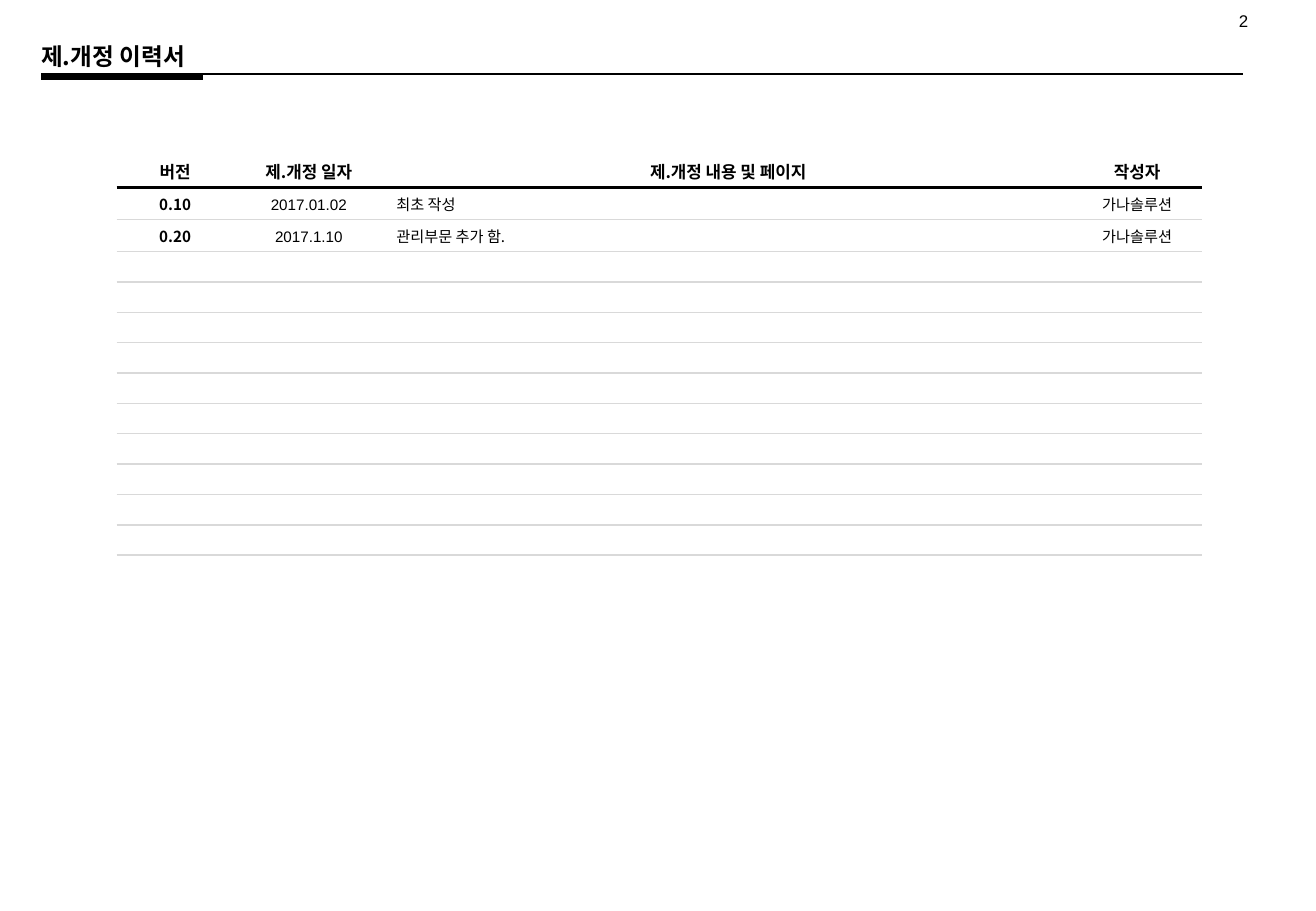
import pptx
import pptx.dml.color
import pptx.enum.shapes
import pptx.enum.text
import pptx.oxml
import pptx.oxml.ns
import pptx.util

Cm = pptx.util.Cm
Pt = pptx.util.Pt
RGBColor = pptx.dml.color.RGBColor
PP_ALIGN = pptx.enum.text.PP_ALIGN
MSO_ANCHOR = pptx.enum.text.MSO_ANCHOR
qn = pptx.oxml.ns.qn

BLACK = RGBColor(0x00, 0x00, 0x00)
GRAY = RGBColor(0xD9, 0xD9, 0xD9)
KOREAN = "Noto Sans CJK KR"
LATIN = "Arial"

COLUMN_WIDTHS = [2.44, 3.15, 14.38, 2.72]
TEXT_ROW_HEIGHT = 0.67
EMPTY_ROW_HEIGHT = 0.635
ROW_COUNT = 13
HISTORY = [
    ["버전", "제.개정 일자", "제.개정 내용 및 페이지", "작성자"],
    ["0.10", "2017.01.02", "최초 작성", "가나솔루션"],
    ["0.20", "2017.1.10", "관리부문 추가 함.", "가나솔루션"],
]


def format_run(r, size, font=KOREAN, bold=False):
    r.font.size = Pt(size)
    r.font.bold = bold
    r.font.name = font
    r.font.color.rgb = BLACK
    ea = pptx.oxml.parse_xml(f'<a:ea {pptx.oxml.ns.nsdecls("a")} typeface="{font}"/>')
    r.font._element.find(qn("a:latin")).addnext(ea)


def add_text(s, text, left, top, width, height, size, font, bold=False):
    tf = s.shapes.add_textbox(Cm(left), Cm(top), Cm(width), Cm(height)).text_frame
    tf.word_wrap = False
    tf.text = text
    format_run(tf.paragraphs[0].runs[0], size, font, bold)
    return tf


def add_title(s, text):
    tf = add_text(s, text, 0.86, 0.79, 25.81, 0.76, 14, KOREAN, True)
    tf.margin_left = tf.margin_right = tf.margin_top = tf.margin_bottom = 0
    tf.vertical_anchor = MSO_ANCHOR.MIDDLE


def add_rule(s, left, right, y, weight):
    line = s.shapes.add_connector(
        pptx.enum.shapes.MSO_CONNECTOR.STRAIGHT, Cm(left), Cm(y), Cm(right), Cm(y))
    line.line.color.rgb = BLACK
    line.line.width = Pt(weight)
    pptx.oxml.xmlchemy.OxmlElement
    line._element.spPr.append(
        pptx.oxml.parse_xml(f'<a:effectLst {pptx.oxml.ns.nsdecls("a")}/>'))


def set_border(cell, side, color=None, weight=0):
    fill = "<a:noFill/>"
    if color is not None:
        fill = f'<a:solidFill><a:srgbClr val="{color}"/></a:solidFill>'
    cell._tc.get_or_add_tcPr().append(pptx.oxml.parse_xml(
        f'<a:ln{side} {pptx.oxml.ns.nsdecls("a")} w="{Pt(weight)}">{fill}</a:ln{side}>'))


def format_cell(cell, row):
    cell.vertical_anchor = MSO_ANCHOR.MIDDLE
    cell.margin_top = cell.margin_bottom = Cm(0.03)
    below = (BLACK, 1.5) if row == 0 else (GRAY, 1)
    above = (None, 0) if row == 0 else (BLACK, 1.5) if row == 1 else (GRAY, 1)
    set_border(cell, "L")
    set_border(cell, "R")
    set_border(cell, "T", *above)
    set_border(cell, "B", *below)
    cell.fill.background()


def fill_cell(cell, row, column, text):
    cell.text_frame.text = text
    p = cell.text_frame.paragraphs[0]
    header = row == 0
    date = not header and column == 1
    p.alignment = PP_ALIGN.LEFT if column == 2 and not header else PP_ALIGN.CENTER
    if date:
        p.line_spacing = Pt(12)
    elif not header:
        p.space_before = Pt(1.8)
    format_run(p.runs[0], 10 if header else 9, LATIN if date else KOREAN,
               header or column == 0)


def shrink_empty_cell(cell):
    p = cell.text_frame.paragraphs[0]
    p._p.append(pptx.oxml.parse_xml(
        f'<a:endParaRPr {pptx.oxml.ns.nsdecls("a")} sz="900"/>'))


def add_history_table(s):
    text_rows = len(HISTORY)
    heights = [TEXT_ROW_HEIGHT] * text_rows + [EMPTY_ROW_HEIGHT] * (ROW_COUNT - text_rows)
    table = s.shapes.add_table(
        ROW_COUNT, len(COLUMN_WIDTHS), Cm(2.44), Cm(3.25),
        Cm(sum(COLUMN_WIDTHS)), Cm(sum(heights))).table
    table.first_row = False
    table.horz_banding = False
    for column, width in enumerate(COLUMN_WIDTHS):
        table.columns[column].width = Cm(width)
    for row, height in enumerate(heights):
        table.rows[row].height = Cm(height)
        for column in range(len(COLUMN_WIDTHS)):
            cell = table.cell(row, column)
            format_cell(cell, row)
            if row < text_rows:
                fill_cell(cell, row, column, HISTORY[row][column])
            else:
                shrink_empty_cell(cell)


def main():
    prs = pptx.Presentation()
    prs.slide_width = Cm(27.51)
    prs.slide_height = Cm(19.05)
    s = prs.slides.add_slide(prs.slide_layouts[6])
    add_text(s, "2", 25.65, 0.1, 0.97, 0.69, 10, LATIN)
    add_title(s, "제.개정 이력서")
    add_history_table(s)
    add_rule(s, 0.86, 25.98, 1.55, 1)
    add_rule(s, 0.86, 4.24, 1.63, 3)
    prs.save("out.pptx")


if __name__ == "__main__":
    main()
